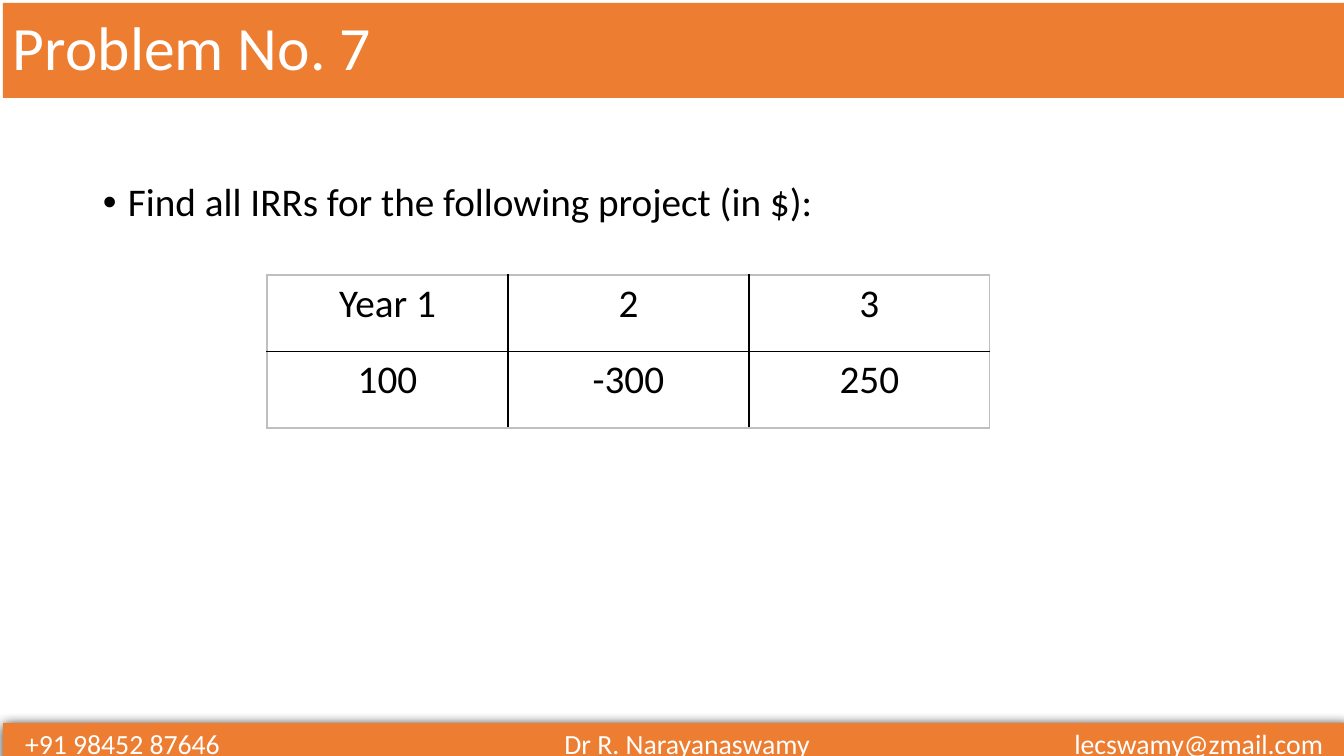
from lxml import etree
from pptx import Presentation
from pptx import util as u
from pptx.dml.color import RGBColor
from pptx.enum import shapes, text
from pptx.oxml import ns

ORANGE, WHITE, BLACK, GREY = "ED7D31", "FFFFFF", "000000", "BFBFBF"
LEFT, CENTER = text.PP_ALIGN.LEFT, text.PP_ALIGN.CENTER
TOP, MIDDLE = text.MSO_ANCHOR.TOP, text.MSO_ANCHOR.MIDDLE


def px(length):
    return u.Emu(round(length * 914400 / 100.8))


def color(value):
    return RGBColor.from_string(value)


def child(parent, tag, **attributes):
    element = etree.SubElement(parent, ns.qn(tag))
    for name, value in attributes.items():
        element.set(name, str(value))
    return element


def assign(target, values):
    for name, value in values.items():
        setattr(target, name, value)


class Slide:
    font = "Calibri"

    def __init__(self, deck):
        self.page = deck.slides.add_slide(deck.slide_layouts[6])

    def label(self, frame, content, size, ink, align=LEFT, spacing=1.0):
        para = frame.paragraphs[0]
        assign(para, {"alignment": align, "line_spacing": spacing})
        span = para.add_run()
        span.text = content
        assign(span.font, {"name": self.font, "size": u.Pt(size)})
        span.font.color.rgb = color(ink)
        return para

    def bar(self, left, top, width, height, inset):
        box = self.page.shapes.add_shape(
            shapes.MSO_SHAPE.RECTANGLE, px(left), px(top), px(width), px(height))
        box.shadow.inherit = False
        box.fill.solid()
        box.fill.fore_color.rgb = color(ORANGE)
        box.line.fill.background()
        assign(box.text_frame, {"word_wrap": True, "vertical_anchor": MIDDLE,
                                "margin_left": px(inset), "margin_right": 0,
                                "margin_top": 0, "margin_bottom": 0})
        return box

    def title(self, content):
        box = self.bar(3, 3, 1342, 95, 10)
        self.label(box.text_frame, content, 44, WHITE, spacing=0.9)

    def bullet(self, content, left, top, width, height):
        box = self.page.shapes.add_textbox(px(left), px(top), px(width), px(height))
        assign(box.text_frame, {"word_wrap": True, "vertical_anchor": TOP})
        para = self.label(box.text_frame, content, 28, BLACK, spacing=0.9)
        properties = para._p.get_or_add_pPr()
        properties.set("marL", str(px(25)))
        properties.set("indent", str(px(-25)))
        child(properties, "a:buFont", typeface="Arial")
        child(properties, "a:buChar", char="•")

    def border(self, cell, sides):
        properties = cell._tc.get_or_add_tcPr()
        for index, (side, outer) in enumerate(sides.items()):
            line = etree.Element(ns.qn(f"a:ln{side}"), w=str(u.Pt(1)))
            fill = child(line, "a:solidFill")
            child(fill, "a:srgbClr", val=GREY if outer else BLACK)
            properties.insert(index, line)

    def table(self, rows, left, top, width, height):
        last_row, last_column = len(rows) - 1, len(rows[0]) - 1
        grid = self.page.shapes.add_table(
            len(rows), len(rows[0]), px(left), px(top), px(width), px(height)).table
        assign(grid, {"first_row": False, "horz_banding": False})
        for r, row in enumerate(rows):
            for c, content in enumerate(row):
                cell = grid.cell(r, c)
                cell.fill.background()
                self.label(cell.text_frame, content, 28, BLACK, CENTER)
                self.border(cell, {"L": c == 0, "R": c == last_column,
                                   "T": r == 0, "B": r == last_row})

    def footer(self, parts):
        box = self.bar(3, 723, 1344, 40, 22)
        effects = box._element.spPr.find(ns.qn("a:effectLst"))
        shadow = child(effects, "a:outerShdw", blurRad=u.Pt(8.5), dist=u.Pt(1),
                       dir=5400000, algn="ctr", rotWithShape=0)
        child(shadow, "a:srgbClr", val=BLACK)
        para = self.label(box.text_frame, "\t".join(parts), 19.8, WHITE)
        tabs = child(para._p.get_or_add_pPr(), "a:tabLst")
        for position, align in ((662, "ctr"), (1298, "r")):
            child(tabs, "a:tab", pos=px(position), algn=align)


def main():
    deck = Presentation()
    assign(deck, {"slide_width": px(1344), "slide_height": px(756)})
    slide = Slide(deck)
    slide.title("Problem No. 7")
    slide.bullet("Find all IRRs for the following project (in $):", 93, 178, 1159, 503)
    slide.table([["Year 1", "2", "3"], ["100", "-300", "250"]], 267, 275, 723, 153)
    slide.footer(["+91 98452 87646", "Dr R. Narayanaswamy", "lecswamy@zmail.com"])
    deck.save("out.pptx")


if __name__ == "__main__":
    main()
